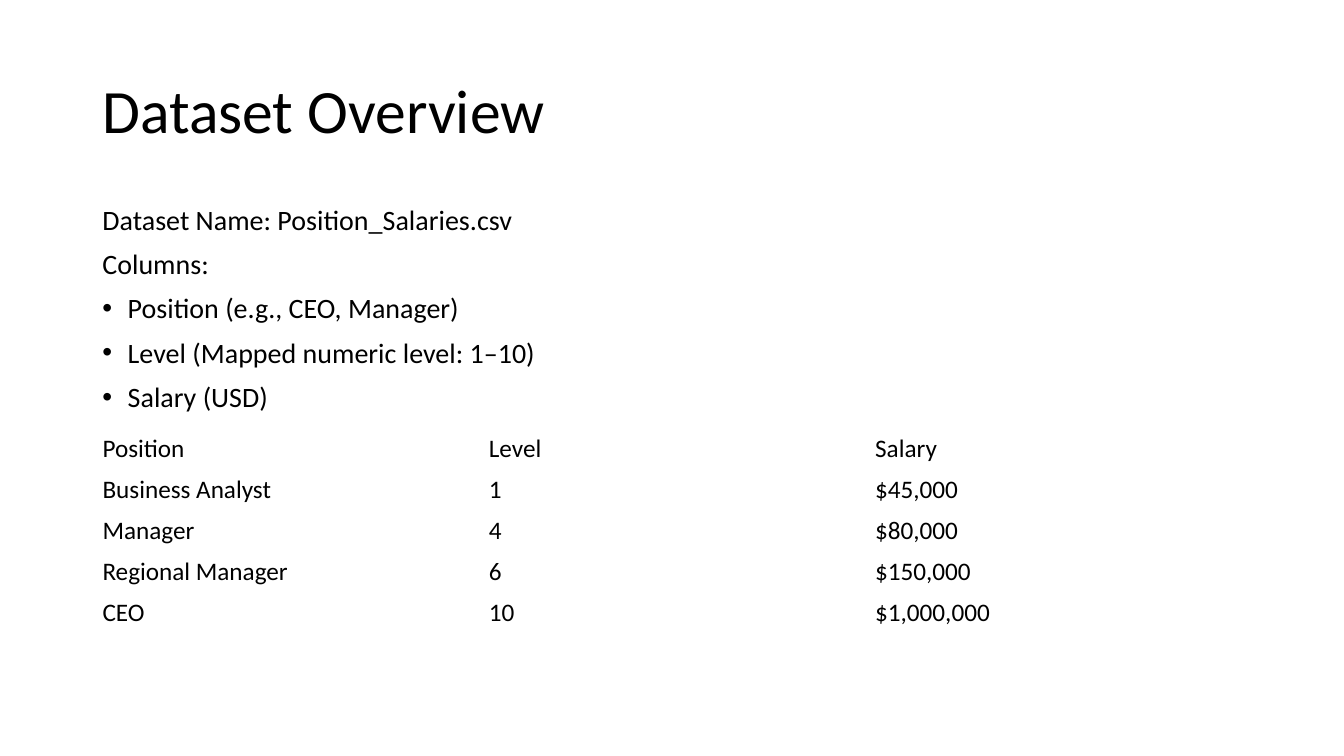
from dataclasses import dataclass

import pptx
import pptx.dml.color
import pptx.enum.text
import pptx.oxml
import pptx.oxml.ns
import pptx.util
from pptx.util import Cm

FONT = "Calibri"
BLACK = "000000"
LEFT, WIDTH = Cm(2.33), Cm(29.21)
MIDDLE = pptx.enum.text.MSO_ANCHOR.MIDDLE
TOP = pptx.enum.text.MSO_ANCHOR.TOP


@dataclass
class Line:
    text: str
    bulleted: bool = False


@dataclass
class SalaryRow:
    position: str
    level: str
    salary: str


DATASET_LINES = [
    Line("Dataset Name: Position_Salaries.csv"),
    Line("Columns:"),
    Line("Position (e.g., CEO, Manager)", bulleted=True),
    Line("Level (Mapped numeric level: 1–10)", bulleted=True),
    Line("Salary (USD)", bulleted=True),
]

SALARY_ROWS = [
    SalaryRow("Position", "Level", "Salary"),
    SalaryRow("Business Analyst", "1", "$45,000"),
    SalaryRow("Manager", "4", "$80,000"),
    SalaryRow("Regional Manager", "6", "$150,000"),
    SalaryRow("CEO", "10", "$1,000,000"),
]


def color(value: str) -> pptx.dml.color.RGBColor:
    return pptx.dml.color.RGBColor.from_string(value)


def add_bullet(paragraph) -> None:
    properties = paragraph._p.get_or_add_pPr()
    properties.set("marL", str(Cm(0.64)))
    properties.set("indent", str(-Cm(0.64)))
    for tag, attribute, value in (("a:buFont", "typeface", "Arial"), ("a:buChar", "char", "•")):
        bullet_part = pptx.oxml.parse_xml(f'<{tag} {pptx.oxml.ns.nsdecls("a")} {attribute}="{value}"/>')
        properties.append(bullet_part)


def write(paragraph, text: str, *, size: float, line_spacing: float = 1.0,
          space_before: float = 0, bulleted: bool = False) -> None:
    paragraph.line_spacing = line_spacing
    paragraph.space_before = pptx.util.Pt(space_before)
    if bulleted:
        add_bullet(paragraph)
    run = paragraph.add_run()
    run.text = text
    run.font.name = FONT
    run.font.size = pptx.util.Pt(size)
    run.font.color.rgb = color(BLACK)


def add_lines(slide, lines: list[Line], *, top: int, height: int, size: float,
              space_before: float = 0, anchor=TOP) -> None:
    frame = slide.shapes.add_textbox(LEFT, top, WIDTH, height).text_frame
    frame.word_wrap = True
    frame.vertical_anchor = anchor
    for index, line in enumerate(lines):
        paragraph = frame.add_paragraph() if index else frame.paragraphs[0]
        write(paragraph, line.text, size=size, line_spacing=0.9,
              space_before=space_before, bulleted=line.bulleted)


def add_salary_table(slide, rows: list[SalaryRow], *, top: int, row_height: int) -> None:
    salaries = slide.shapes.add_table(len(rows), 3, LEFT, top, WIDTH, row_height * len(rows)).table
    salaries.first_row = False
    salaries.horz_banding = False
    for row_index, row in enumerate(rows):
        for column_index, text in enumerate((row.position, row.level, row.salary)):
            cell = salaries.cell(row_index, column_index)
            cell.fill.background()
            cell.vertical_anchor = MIDDLE
            write(cell.text_frame.paragraphs[0], text, size=18)


def main() -> None:
    presentation = pptx.Presentation()
    presentation.slide_width = Cm(33.87)
    presentation.slide_height = Cm(19.05)
    slide = presentation.slides.add_slide(presentation.slide_layouts[6])

    # Title
    add_lines(slide, [Line("Dataset Overview")], top=Cm(1.01), height=Cm(3.68),
              size=44, anchor=MIDDLE)

    # Dataset description
    add_lines(slide, DATASET_LINES, top=Cm(5.07), height=Cm(12.09), size=20, space_before=10)

    # Sample salaries
    add_salary_table(slide, SALARY_ROWS, top=Cm(10.8), row_height=Cm(1.03))

    presentation.save("out.pptx")


if __name__ == "__main__":
    main()
